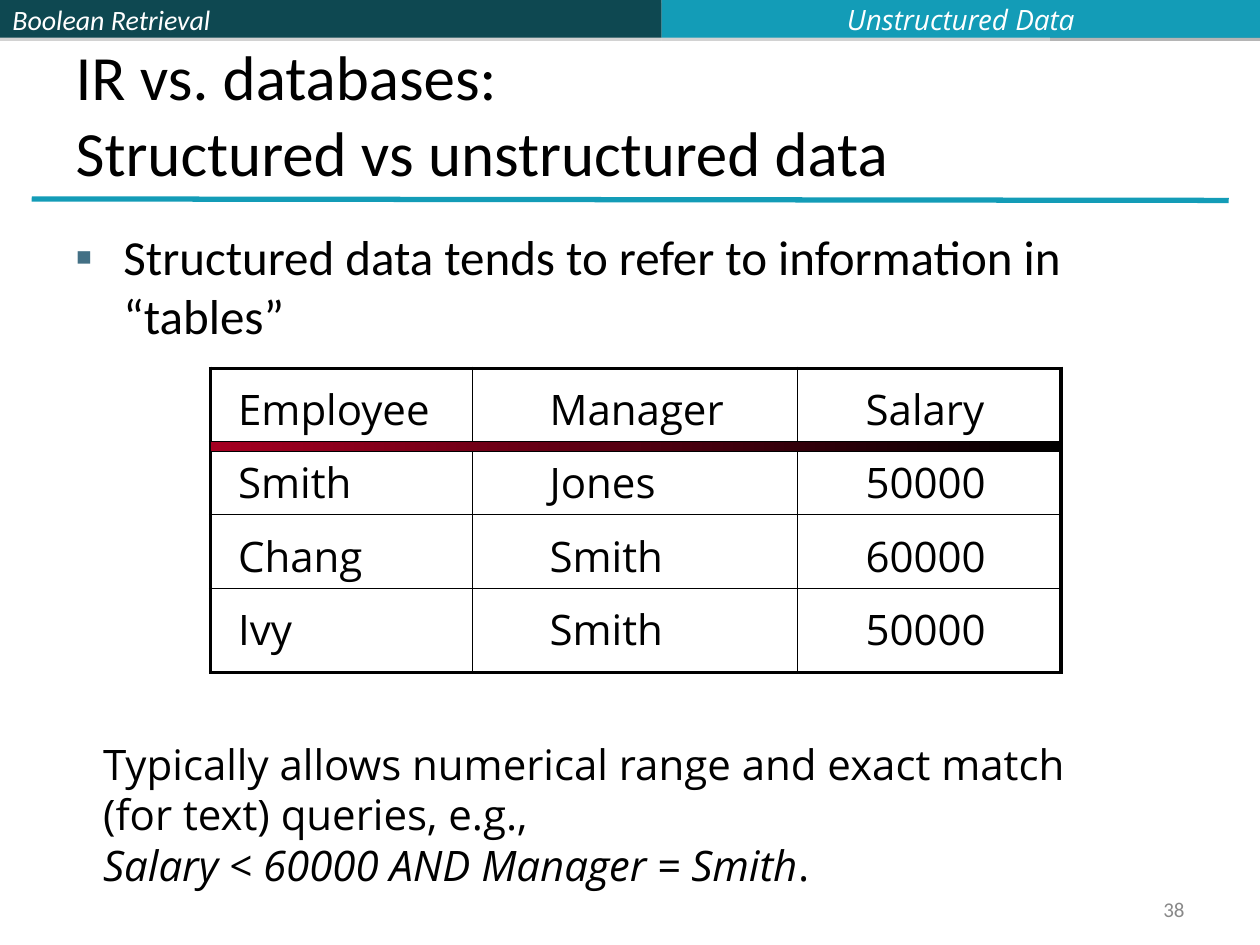
import pptx
import pptx.util
import pptx.dml.color
import pptx.enum.dml
import pptx.enum.shapes
import pptx.enum.text
import pptx.oxml
import pptx.oxml.ns
from lxml import etree

Cm, Pt = pptx.util.Cm, pptx.util.Pt
ALIGN = pptx.enum.text.PP_ALIGN
ANCHOR = pptx.enum.text.MSO_ANCHOR
RECT = pptx.enum.shapes.MSO_SHAPE.RECTANGLE
NS = 'xmlns:a="http://schemas.openxmlformats.org/drawingml/2006/main"'

# Content
TITLE = ["IR vs. databases:", "Structured vs unstructured data"]
BULLET = "Structured data tends to refer to information in “tables”"
ROWS = [
    ("Employee", "Manager", "Salary"),
    ("Smith", "Jones", "50000"),
    ("Chang", "Smith", "60000"),
    ("Ivy", "Smith", "50000"),
]
NOTE = [  # paragraphs of (text, italic)
    [("Typically allows numerical range and exact match", False)],
    [("(for text) queries, e.g.,", False)],
    [("Salary < 60000 AND Manager = Smith", True), (".", False)],
]

# Layout in cm
WIDTH, HEIGHT = 25.4, 19.05
BAND_H, SPLIT = 0.76, 13.34
DARK, TEAL = "0E4851", "139CB7"
BANDS = [(0, SPLIT, DARK), (21.17, WIDTH - 21.17, TEAL), (SPLIT, WIDTH - SPLIT, TEAL)]
TABLE_X, TABLE_Y = 4.24, 7.42
COLS = [(5.29, 0.56), (6.55, 1.55), (5.31, 1.37)]  # width, text indent
ROW_HEIGHTS = [1.48, 1.48, 1.48, 1.7]
TABLE_W = sum(w for w, _ in COLS)


def rgb(value):
    return pptx.dml.color.RGBColor.from_string(value)


def add_run(p, text, size, color="000000", font="Calibri", italic=False):
    r = p.add_run()
    r.text = text
    f = r.font
    f.size, f.name, f.italic = Pt(size), font, italic
    f.color.rgb = rgb(color)


def add_box(s, x, y, w, h, anchor=ANCHOR.MIDDLE, align=ALIGN.LEFT):
    tf = s.shapes.add_textbox(Cm(x), Cm(y), Cm(w), Cm(h)).text_frame
    tf.word_wrap = True
    tf.vertical_anchor = anchor
    tf.paragraphs[0].alignment = align
    return tf


def add_bands(s):
    for x, w, color in BANDS:
        sp = s.shapes.add_shape(RECT, Cm(x), 0, Cm(w), Cm(BAND_H))
        sp.fill.solid()
        sp.fill.fore_color.rgb = rgb(color)
        sp.line.fill.background()
        sp._element.spPr.append(pptx.oxml.parse_xml(
            f'<a:effectLst {NS}><a:outerShdw dist="22860" dir="5400000" rotWithShape="0">'
            '<a:srgbClr val="808080"><a:alpha val="35000"/></a:srgbClr>'
            '</a:outerShdw></a:effectLst>'))
    labels = [(0, SPLIT, "Boolean Retrieval", "Calibri", ALIGN.LEFT),
              (SPLIT, WIDTH - SPLIT, "Unstructured Data", "Open Sans", ALIGN.CENTER)]
    for x, w, text, font, align in labels:
        tf = add_box(s, x, 0, w, BAND_H, align=align)
        add_run(tf.paragraphs[0], text, 16, "FFFFFF", font, True)


def add_title(s):
    sp = s.shapes.title
    sp.left, sp.top, sp.width, sp.height = Cm(1.27), Cm(0.76), Cm(22.86), Cm(3.18)
    tf = sp.text_frame
    tf.vertical_anchor = ANCHOR.BOTTOM
    p = tf.paragraphs[0]
    p.alignment = ALIGN.LEFT
    for i, line in enumerate(TITLE):
        if i:
            p.add_line_break()
        add_run(p, line, 36)
    rule = s.shapes.add_connector(pptx.enum.shapes.MSO_CONNECTOR.STRAIGHT,
                                  Cm(0.64), Cm(4.01), Cm(24.77), Cm(4.04))
    rule.line.color.rgb = rgb(TEAL)
    rule.line.width = Pt(3)
    etree.SubElement(rule._element.spPr, pptx.oxml.ns.qn("a:effectLst"))


def add_bullet(s):
    p = add_box(s, 1.27, 4.45, 22.86, 13.77, ANCHOR.TOP).paragraphs[0]
    p.space_before = Pt(7)
    add_run(p, BULLET, 28)
    pPr = p._p.get_or_add_pPr()
    pPr.set("marL", str(Cm(0.97)))
    pPr.set("indent", str(-Cm(0.97)))
    for xml in (f'<a:buClr {NS}><a:srgbClr val="437085"/></a:buClr>',
                f'<a:buFont {NS} typeface="Calibri"/>',
                f'<a:buChar {NS} char="▪"/>'):
        pPr.append(pptx.oxml.parse_xml(xml))


def set_borders(cell, widths):
    tcPr = cell._tc.get_or_add_tcPr()
    for side, width in zip("LRTB", widths):
        tcPr.append(pptx.oxml.parse_xml(
            f'<a:ln{side} {NS} w="{Pt(width)}"><a:solidFill>'
            f'<a:srgbClr val="000000"/></a:solidFill></a:ln{side}>'))


def add_employee_table(s):
    table = s.shapes.add_table(len(ROWS), len(COLS), Cm(TABLE_X), Cm(TABLE_Y),
                               Cm(TABLE_W), Cm(sum(ROW_HEIGHTS))).table
    table.first_row = table.horz_banding = False
    for column, (w, _) in zip(table.columns, COLS):
        column.width = Cm(w)
    last_row, last_col = len(ROWS) - 1, len(COLS) - 1
    for i, values in enumerate(ROWS):
        table.rows[i].height = Cm(ROW_HEIGHTS[i])
        for j, value in enumerate(values):
            cell = table.cell(i, j)
            outer = (j == 0, j == last_col, i == 0, i == last_row)
            set_borders(cell, [2 if edge else 0.75 for edge in outer])
            cell.fill.background()
            cell.vertical_anchor = ANCHOR.TOP
            cell.margin_left, cell.margin_top = Cm(COLS[j][1]), Cm(0.25)
            cell.margin_right = cell.margin_bottom = 0
            add_run(cell.text_frame.paragraphs[0], value, 24, font="Open Sans")

    # Gradient bar under the header row
    bar = s.shapes.add_shape(RECT, Cm(TABLE_X), Cm(TABLE_Y + ROW_HEIGHTS[0]),
                             Cm(TABLE_W), Cm(0.2))
    bar.shadow.inherit = False
    bar.fill.gradient()
    bar.fill.gradient_angle = 0
    for stop, color, pos in zip(bar.fill.gradient_stops, ("A50021", "000000"), (0, 1)):
        stop.color.rgb = rgb(color)
        stop.position = pos
    bar.line.color.rgb = rgb("000000")
    bar.line.width = Pt(0.75)


def add_note(s):
    tf = add_box(s, 1.83, 14.76, 20.17, 3.3)
    for i, runs in enumerate(NOTE):
        p = tf.add_paragraph() if i else tf.paragraphs[0]
        p.line_spacing = Pt(28.8)
        for text, italic in runs:
            add_run(p, text, 24, font="Open Sans", italic=italic)


def main():
    prs = pptx.Presentation()
    prs.slide_width, prs.slide_height = Cm(WIDTH), Cm(HEIGHT)
    s = prs.slides.add_slide(prs.slide_layouts[5])
    add_bands(s)
    add_title(s)
    add_bullet(s)
    add_employee_table(s)
    add_note(s)
    # Slide number
    tf = add_box(s, 18.21, 17.98, 5.92, 0.69, align=ALIGN.RIGHT)
    add_run(tf.paragraphs[0], "38", 12, "898989")
    prs.save("out.pptx")


if __name__ == "__main__":
    main()
